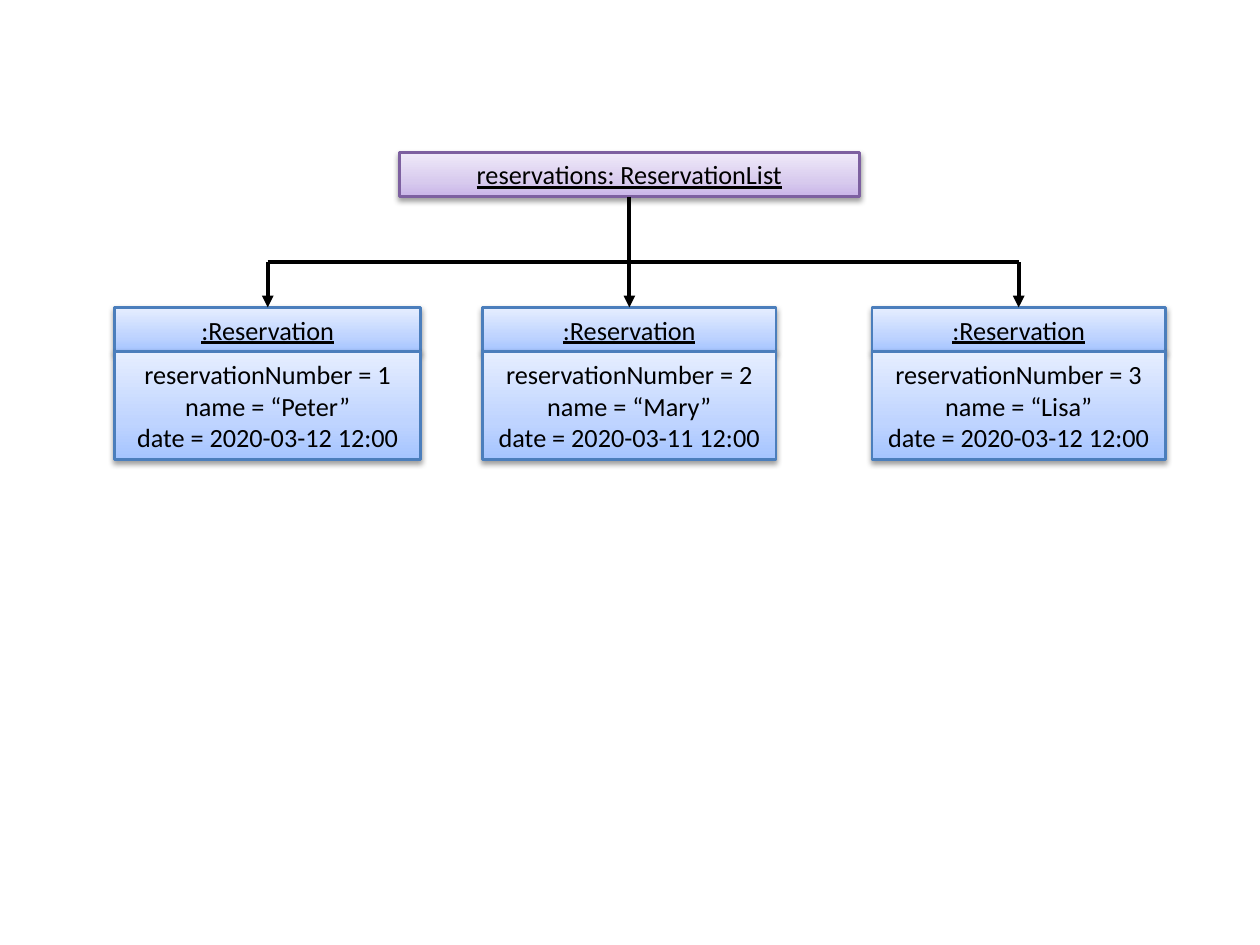
from lxml import etree
from pptx import Presentation
from pptx import util as u
from pptx.dml.color import RGBColor
from pptx.enum import shapes, text
from pptx.oxml import ns

HUES = {
    "ink": "000000",
    "list": {"line": "7D60A0", "fill": ("C9B5E8", "D8CBEE", "F0EAF9")},
    "item": {"line": "4B7EBC", "fill": ("A4C4FF", "BFD4FF", "E6EEFF")},
}


def add(parent, tag, **attrs):
    return etree.SubElement(parent, ns.qn(tag), attrs)


def write(frame, words, size=15, font="Calibri", hue=HUES["ink"], under=False):
    frame.word_wrap = True
    frame.auto_size = text.MSO_AUTO_SIZE.SHAPE_TO_FIT_TEXT
    frame.vertical_anchor = text.MSO_ANCHOR.MIDDLE
    for i, line in enumerate(words):
        para = frame.paragraphs[0] if i == 0 else frame.add_paragraph()
        para.alignment = text.PP_ALIGN.CENTER
        run = para.add_run()
        run.text = line
        run.font.size = u.Pt(size)
        run.font.name = font
        run.font.underline = under
        run.font.color.rgb = RGBColor.from_string(hue)


class Chart:
    """Draws object boxes and links on one slide."""

    def __init__(self, slide, edge=1.5, link=2.25):
        self.slide, self.edge, self.wide = slide, edge, link

    def box(self, x, y, w, h, hue, words, under=False):
        place = [u.Inches(n) for n in (x, y, w, h)]
        box = self.slide.shapes.add_shape(shapes.MSO_SHAPE.RECTANGLE, *place)
        box.line.color.rgb = RGBColor.from_string(hue["line"])
        box.line.width = u.Pt(self.edge)
        self.blend(box, hue["fill"])
        self.shade(box)
        write(box.text_frame, words, under=under)

    def blend(self, box, fill):
        box.fill.gradient()
        box.fill.gradient_angle = 90
        stops = box.element.spPr.find(".//" + ns.qn("a:gsLst"))
        for stop in list(stops):
            stops.remove(stop)
        for spot, hue in zip((0, 35, 100), fill):
            stop = add(stops, "a:gs", pos=str(spot * 1000))
            add(stop, "a:srgbClr", val=hue)

    def shade(self, box):
        box.shadow.inherit = False
        glow = box.element.spPr.find(ns.qn("a:effectLst"))
        cast = add(glow, "a:outerShdw", blurRad="40000", dist="20000",
                   dir="5400000", rotWithShape="0")
        tint = add(cast, "a:srgbClr", val=HUES["ink"])
        add(tint, "a:alpha", val="38000")

    def link(self, x1, y1, x2, y2, head=False):
        ends = [u.Inches(n) for n in (x1, y1, x2, y2)]
        link = self.slide.shapes.add_connector(
            shapes.MSO_CONNECTOR.STRAIGHT, *ends)
        link.line.color.rgb = RGBColor.from_string(HUES["ink"])
        link.line.width = u.Pt(self.wide)
        if head:
            add(link.line._get_or_add_ln(), "a:tailEnd", type="triangle")
        add(link.element.spPr, "a:effectLst")


deck = Presentation()
deck.slide_width, deck.slide_height = u.Inches(10), u.Inches(7.5)
chart = Chart(deck.slides.add_slide(deck.slide_layouts[6]))

TOP, BUS, ROW, HEAD, BODY = 1.21, 2.08, 2.44, 0.35, 0.86
items = [
    (0.91, 2.43, "Peter", "2020-03-12"),
    (3.83, 2.33, "Mary", "2020-03-11"),
    (6.92, 2.33, "Lisa", "2020-03-12"),
]
mids = [x + w / 2 for x, w, *_ in items]

chart.box(3.17, TOP, 3.65, HEAD, HUES["list"],
          ["reservations: ReservationList"], under=True)
for num, (x, w, name, date) in enumerate(items, 1):
    chart.box(x, ROW, w, HEAD, HUES["item"], [":Reservation"], under=True)
    chart.box(x, ROW + HEAD, w, BODY, HUES["item"], [
        f"reservationNumber = {num}",
        f"name = “{name}”",
        f"date = {date} 12:00",
    ])
for mid in mids:
    chart.link(mid, BUS, mid, ROW, head=True)
chart.link(mids[0], BUS, mids[-1], BUS)
chart.link(mids[1], BUS, mids[1], TOP + HEAD)

deck.save("out.pptx")
